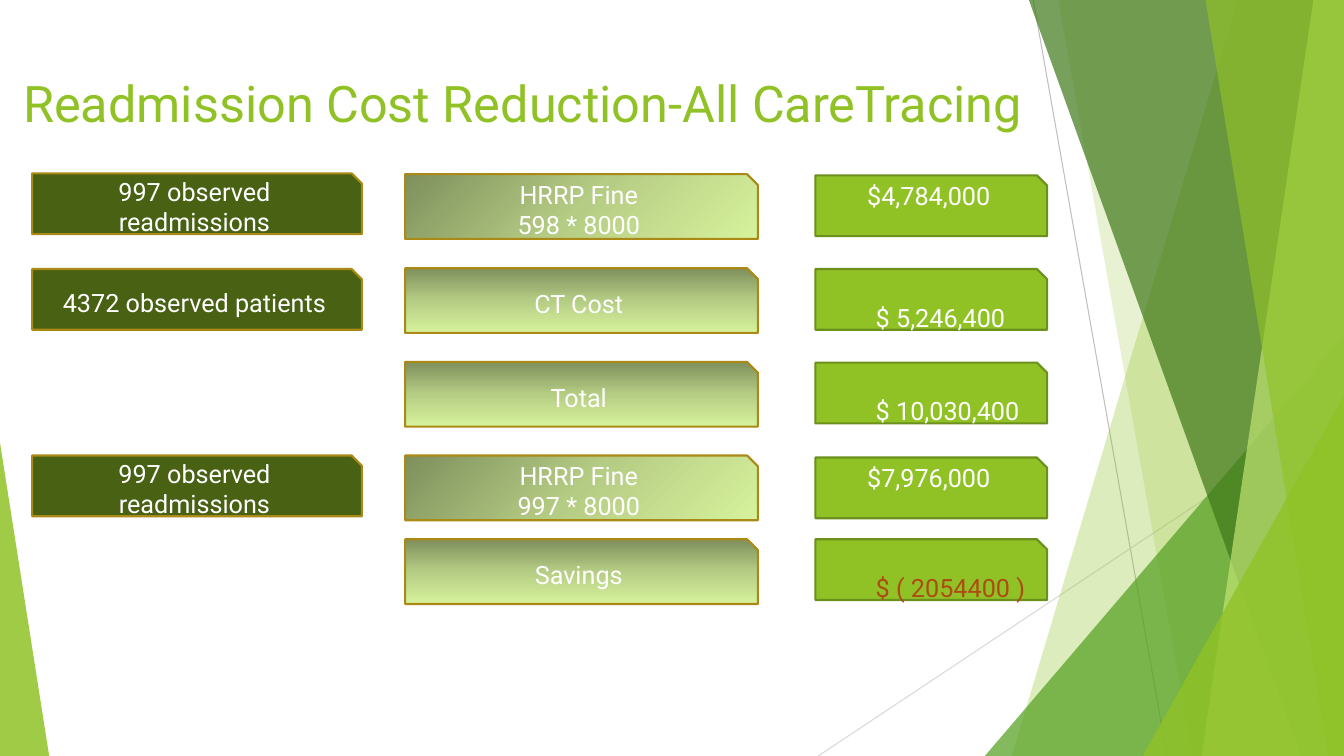
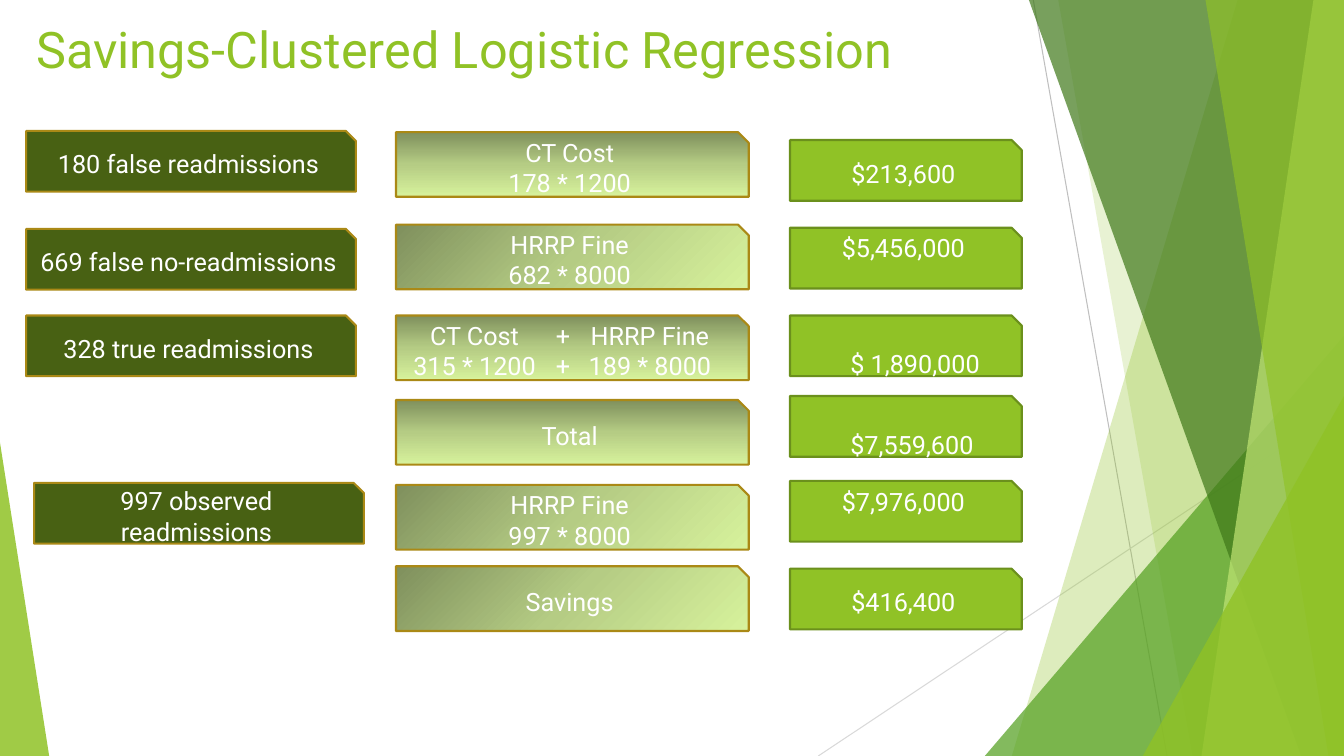
from copy import deepcopy

from lxml import etree
from pptx import Presentation
from pptx.dml.color import RGBColor
from pptx.enum import shapes, text
from pptx.oxml.ns import qn
from pptx.util import Cm, Pt

FONT = "Roboto"
WHITE = RGBColor(0xFF, 0xFF, 0xFF)
LIME = RGBColor(0x90, 0xC2, 0x26)
LIME_EDGE = RGBColor(0x6B, 0x90, 0x1C)
PALE_LIME = RGBColor(0xC0, 0xE4, 0x74)
GREEN = RGBColor(0x54, 0xA0, 0x21)
FOREST = RGBColor(0x3F, 0x78, 0x19)
OLIVE = RGBColor(0x48, 0x61, 0x13)
GOLD = RGBColor(0xAA, 0x89, 0x16)
RUST = RGBColor(0xAD, 0x4C, 0x12)
GREY = RGBColor(0xBF, 0xBF, 0xBF)
LIGHT_GREY = RGBColor(0xD9, 0xD9, 0xD9)
GRADIENT = [(0, RGBColor(0x7F, 0x90, 0x5D)), (0.5, RGBColor(0xB5, 0xCC, 0x84)),
            (1, RGBColor(0xD7, 0xF2, 0x9C))]

# All lengths below are in centimetres
WIDTH, HEIGHT = 33.87, 19.05
LABEL_SIZE, FORMULA_SIZE, AMOUNT_SIZE = (8.31, 1.53), (8.89, 1.63), (5.84, 1.53)
TAB_STOPS = (1.73, 3.96, 6.15)
DIAGONAL, DOWN = 315, 270  # gradient angles, counter-clockwise

RAYS = [((26.04, 0), (29.41, HEIGHT), GREY),
        ((WIDTH, 10.24), (20.62, HEIGHT), LIGHT_GREY)]
# Bands: (x at top, x at bottom); triangles: (left, top, width, apex)
BACKDROP = [
    ("band", (31.19, 25.5), LIME, 30),
    ("band", (26.67, 30.05), LIME, 20),
    ("triangle", (24.82, 8.46, 9.05, 1), GREEN, 72),
    ("band", (25.93, 32.79), FOREST, 70),
    ("band", (33.1, 30.28), PALE_LIME, 70),
    ("band", (30.38, 33.48), LIME, 65),
    ("triangle", (28.8, 9.98, 5.07, 1), LIME, 80),
    ("triangle", (0, 11.15, 1.24, 0), LIME, 85),
]

SLIDES = [
    {
        "title": ("Readmission Cost Reduction-All CareTracing", (0.33, 1.7, 26.06, 3.66)),
        "labels": [(0.81, 4.37, "997 observed readmissions"),
                   (0.81, 6.78, "4372 observed patients"),
                   (0.81, 11.48, "997 observed readmissions")],
        "formula_left": 10.21,
        "formulas": [(4.39, DIAGONAL, ["HRRP Fine", "598 * 8000"]),
                     (6.76, DOWN, ["CT Cost"]),
                     (9.12, DOWN, ["Total"]),
                     (11.48, DIAGONAL, ["HRRP Fine", "997 * 8000"]),
                     (13.59, DOWN, ["Savings"])],
        "amount_left": 20.55,
        "amounts": [(4.42, "high", "$4,784,000", WHITE),
                    (6.78, "low", "$ 5,246,400", WHITE),
                    (9.14, "low", "$ 10,030,400", WHITE),
                    (11.53, "high", "$7,976,000", WHITE),
                    (13.59, "low", "$ ( 2054400 )", RUST)],
    },
    {
        "title": ("Savings-Clustered Logistic Regression", (0.66, 0.33, 23.88, 2.11)),
        "labels": [(0.66, 3.3, "180 false readmissions"),
                   (0.66, 5.77, "669 false no-readmissions"),
                   (0.66, 7.95, "328 true readmissions"),
                   (0.86, 12.17, "997 observed readmissions")],
        "formula_left": 9.98,
        "formulas": [(3.33, DOWN, ["CT Cost", "178 * 1200"]),
                     (5.66, DIAGONAL, ["HRRP Fine", "682 * 8000"]),
                     (7.95, DOWN, ["\tCT Cost\t+\tHRRP Fine",
                                   "\t315 * 1200\t+\t189 * 8000"]),
                     (10.08, DOWN, ["Total"]),
                     (12.22, DIAGONAL, ["HRRP Fine", "997 * 8000"]),
                     (14.27, DIAGONAL, ["Savings"])],
        "amount_left": 19.91,
        "amounts": [(3.53, "middle", "$213,600", WHITE),
                    (5.74, "high", "$5,456,000", WHITE),
                    (7.95, "low", "$ 1,890,000", WHITE),
                    (9.98, "low", "$7,559,600", WHITE),
                    (12.12, "high", "$7,976,000", WHITE),
                    (14.33, "middle", "$416,400", WHITE)],
    },
]


def add_run(p, words, size, color):
    r = p.add_run()
    r.text = words
    r.font.name, r.font.size, r.font.color.rgb = FONT, Pt(size), color


def add_tabs(p):
    """Give the paragraph centred tab stops."""
    tabs = etree.SubElement(p._p.get_or_add_pPr(), qn("a:tabLst"))
    for stop in TAB_STOPS:
        etree.SubElement(tabs, qn("a:tab"), pos=str(Cm(stop)), algn="ctr")


def add_card(slide, left, top, size, lines, edge, color=WHITE):
    """Add a snipped rectangle holding one paragraph per line."""
    sp = slide.shapes.add_shape(shapes.MSO_SHAPE.SNIP_1_RECTANGLE,
                                Cm(left), Cm(top), *map(Cm, size))
    sp.shadow.inherit = False
    sp.line.color.rgb, sp.line.width = edge, Pt(1.5)
    tf = sp.text_frame
    tf.word_wrap, tf.vertical_anchor = True, text.MSO_ANCHOR.MIDDLE
    for i, line in enumerate(lines):
        p = tf.add_paragraph() if i else tf.paragraphs[0]
        tabbed = "\t" in line
        p.alignment = text.PP_ALIGN.LEFT if tabbed else text.PP_ALIGN.CENTER
        if tabbed:
            add_tabs(p)
        add_run(p, line, 18, color)
    return sp


def fill_solid(sp, color):
    sp.fill.solid()
    sp.fill.fore_color.rgb = color


def fill_gradient(sp, angle):
    sp.fill.gradient()
    sp.fill.gradient_angle = angle
    stops = sp.element.find(".//" + qn("a:gsLst"))
    stops.insert(1, deepcopy(stops[0]))
    for stop, (position, color) in zip(sp.fill.gradient_stops, GRADIENT):
        stop.position, stop.color.rgb = position, color


def place_amount(sp, place):
    """Set an amount high, low or in the middle of its card."""
    tf = sp.text_frame
    if place == "high":
        tf.vertical_anchor, tf.margin_top = text.MSO_ANCHOR.TOP, 0
    elif place == "low":
        p = tf.paragraphs[0]
        p.alignment, p.line_spacing = text.PP_ALIGN.LEFT, 2.0
        tf.margin_left = Cm(1.52)


def add_title(slide, words, box):
    title = slide.shapes.title
    title.left, title.top, title.width, title.height = map(Cm, box)
    tf = title.text_frame
    tf.word_wrap, tf.auto_size = True, text.MSO_AUTO_SIZE.NONE
    tf.vertical_anchor = text.MSO_ANCHOR.TOP
    p = tf.paragraphs[0]
    p.alignment = text.PP_ALIGN.LEFT
    add_run(p, words, 36, LIME)


def add_backdrop(slide, layout):
    """Draw the rays and bands, then move them to the shared layout."""
    parts = []
    for start, end, color in RAYS:
        ray = slide.shapes.add_connector(shapes.MSO_CONNECTOR.STRAIGHT,
                                         *map(Cm, start + end))
        ray.line.color.rgb, ray.line.width = color, Pt(0.75)
        etree.SubElement(ray.element.spPr, qn("a:effectLst"))
        parts.append(ray)
    for kind, geometry, color, opacity in BACKDROP:
        if kind == "band":
            top_x, bottom_x = geometry
            outline = slide.shapes.build_freeform(Cm(top_x), 0)
            outline.add_line_segments([(Cm(WIDTH), 0), (Cm(WIDTH), Cm(HEIGHT)),
                                       (Cm(bottom_x), Cm(HEIGHT))])
            sp = outline.convert_to_shape()
        else:
            left, top, width, apex = geometry
            sp = slide.shapes.add_shape(shapes.MSO_SHAPE.ISOSCELES_TRIANGLE, Cm(left),
                                        Cm(top), Cm(width), Cm(HEIGHT - top))
            sp.adjustments[0] = apex
        sp.shadow.inherit = False
        sp.line.fill.background()
        fill_solid(sp, color)
        rgb = sp.element.spPr.find(".//" + qn("a:srgbClr"))
        etree.SubElement(rgb, qn("a:alpha"), val=str(opacity * 1000))
        parts.append(sp)
    for i, part in enumerate(parts):
        part.element.find(".//" + qn("p:cNvPr")).set("id", str(100 + i))
        layout.shapes.element.insert(2 + i, part.element)


def add_cards(slide, content):
    for left, top, label in content["labels"]:
        fill_solid(add_card(slide, left, top, LABEL_SIZE, [label], GOLD), OLIVE)
    for top, angle, lines in content["formulas"]:
        sp = add_card(slide, content["formula_left"], top, FORMULA_SIZE, lines, GOLD)
        fill_gradient(sp, angle)
    for top, place, amount, color in content["amounts"]:
        sp = add_card(slide, content["amount_left"], top, AMOUNT_SIZE, [amount],
                      LIME_EDGE, color)
        fill_solid(sp, LIME)
        place_amount(sp, place)


def main():
    prs = Presentation()
    prs.slide_width, prs.slide_height = Cm(WIDTH), Cm(HEIGHT)
    layout = prs.slide_layouts.get_by_name("Title Only")
    for content in SLIDES:
        slide = prs.slides.add_slide(layout)
        add_title(slide, *content["title"])
        add_cards(slide, content)
    add_backdrop(prs.slides[0], layout)
    prs.save("out.pptx")


if __name__ == "__main__":
    main()
